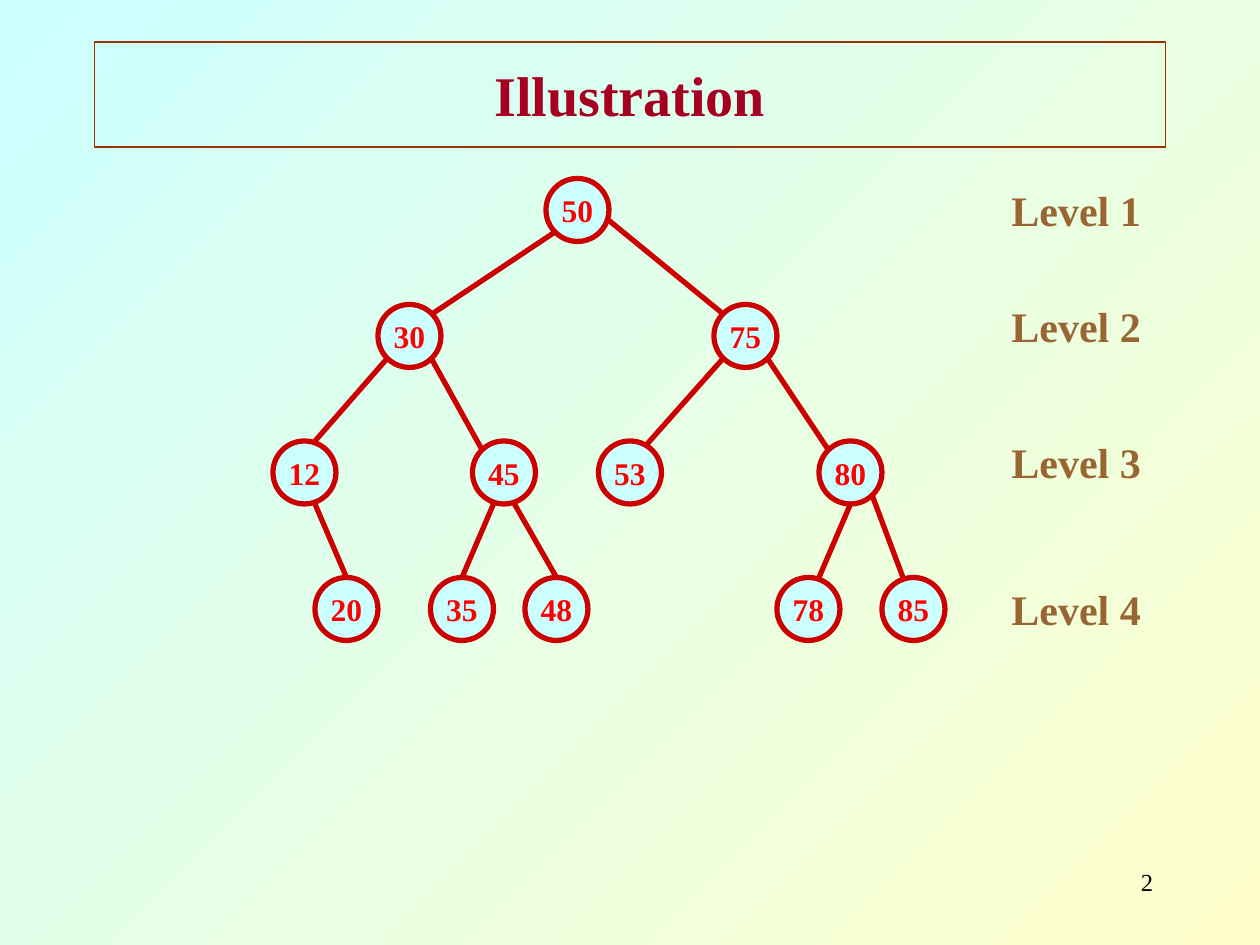
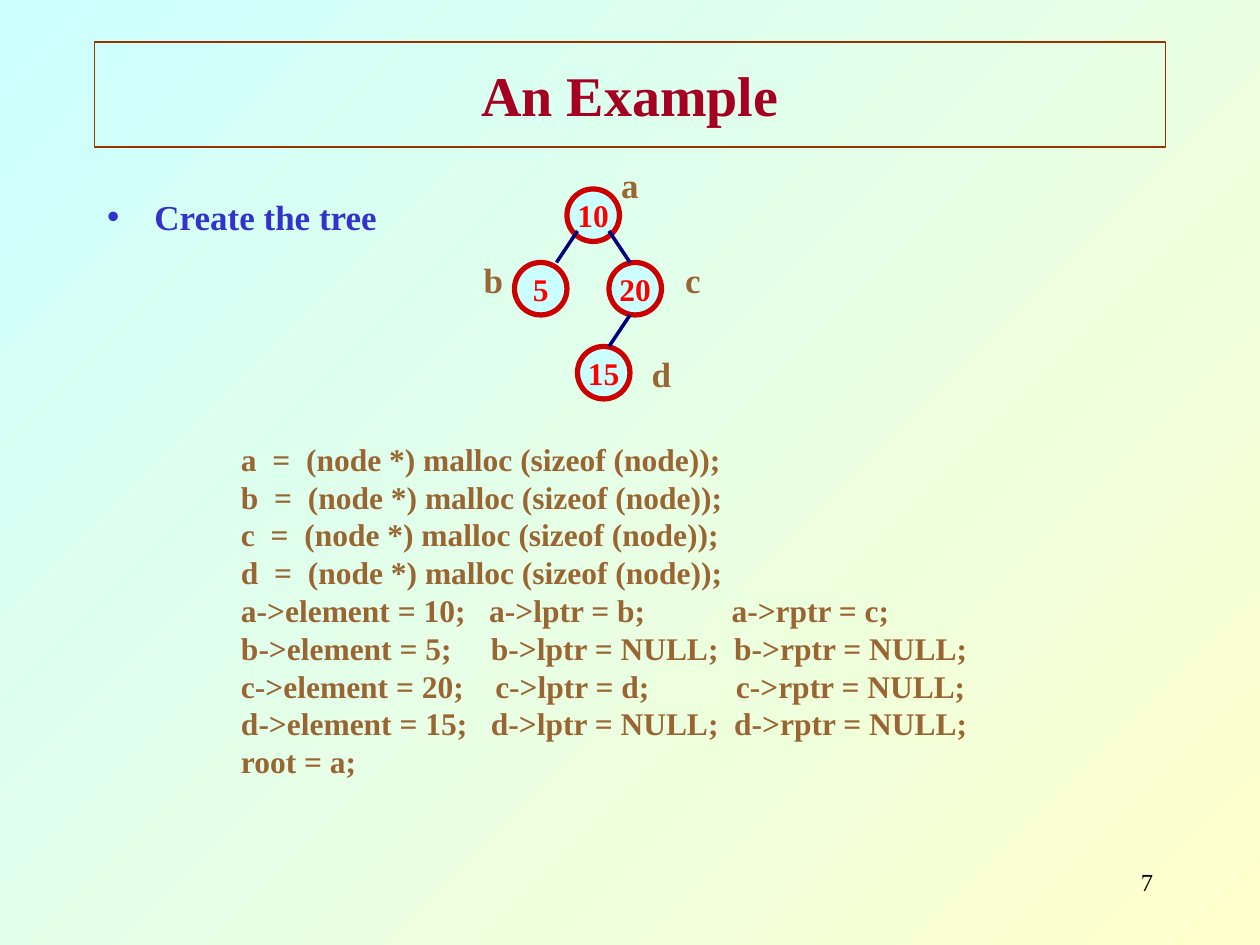
import dataclasses

import lxml.etree
import pptx
import pptx.dml.color
import pptx.enum.shapes
import pptx.enum.text
import pptx.oxml.ns
import pptx.util

ALIGN = pptx.enum.text.PP_ALIGN
ANCHOR = pptx.enum.text.MSO_ANCHOR
AUTO_SIZE = pptx.enum.text.MSO_AUTO_SIZE


@dataclasses.dataclass(frozen=True)
class Theme:
    font: str = "Times New Roman"
    title: str = "A50021"
    title_line: str = "993300"
    heading: str = "3333CC"
    label: str = "996633"
    node_text: str = "FF0000"
    node_fill: str = "CCFFFF"
    node_line: str = "CC0000"
    pointer: str = "000080"
    page_number: str = "000000"
    background: tuple = ("FFFFCC", "CCFFFF")
    title_size: int = 32
    level_size: int = 24
    body_size: int = 20
    node_size: int = 18
    code_size: int = 18
    page_size: int = 14


def grid(count):
    return pptx.util.Cm(count * 2.54 / 12)


def rgb(value):
    return pptx.dml.color.RGBColor.from_string(value)


def add_xml(parent, tag, **attributes):
    element = lxml.etree.SubElement(parent, pptx.oxml.ns.qn(tag))
    for name, value in attributes.items():
        element.set(name, str(value))
    return element


class SlideBuilder:
    def __init__(self, theme):
        self.theme = theme
        self.deck = pptx.Presentation()
        self.deck.slide_width = grid(120)
        self.deck.slide_height = grid(90)
        self.slide = None
        fill = self.deck.slide_master.background.fill
        fill.gradient()
        fill.gradient_angle = 135
        for stop, color in zip(fill.gradient_stops, theme.background):
            stop.color.rgb = rgb(color)

    def place(self, shape, left, top, width, height):
        shape.left, shape.top = grid(left), grid(top)
        shape.width, shape.height = grid(width), grid(height)

    def format_para(self, para, size, color, align=ALIGN.CENTER, bold=True, before=0):
        para.alignment = align
        para.space_before = pptx.util.Pt(before)
        for span in para.runs:
            span.font.name = self.theme.font
            span.font.size = pptx.util.Pt(size)
            span.font.bold = bold
            span.font.color.rgb = rgb(color)

    def indent(self, para, left, first_line):
        properties = para._p.get_or_add_pPr()
        properties.set("marL", str(grid(left)))
        properties.set("indent", str(grid(first_line)))
        return properties

    def start(self, title, number, layout):
        self.slide = self.deck.slides.add_slide(self.deck.slide_layouts.get_by_name(layout))
        box = self.slide.shapes.title
        self.place(box, 9, 4, 102, 10)
        box.line.color.rgb = rgb(self.theme.title_line)
        box.line.width = pptx.util.Pt(0.75)
        frame = box.text_frame
        frame.text = title
        frame.auto_size = AUTO_SIZE.NONE
        frame.vertical_anchor = ANCHOR.MIDDLE
        self.format_para(frame.paragraphs[0], self.theme.title_size, self.theme.title)
        self.text(str(number), 86, 82, 25, 6, self.theme.page_size,
                  self.theme.page_number, align=ALIGN.RIGHT, bold=False)

    def text(self, words, left, top, width, height, size, color, **style):
        box = self.slide.shapes.add_textbox(grid(left), grid(top), grid(width), grid(height))
        frame = box.text_frame
        frame.word_wrap = True
        frame.text = words
        self.format_para(frame.paragraphs[0], size, color, **style)

    def label(self, words, left, top, width, height, size):
        self.text(words, left, top, width, height, size, self.theme.label, before=size * 0.625)

    def node(self, value, left, top, diameter):
        circle = self.slide.shapes.add_shape(
            pptx.enum.shapes.MSO_SHAPE.OVAL,
            grid(left), grid(top), grid(diameter), grid(diameter))
        circle.shadow.inherit = False
        circle.fill.solid()
        circle.fill.fore_color.rgb = rgb(self.theme.node_fill)
        circle.line.color.rgb = rgb(self.theme.node_line)
        circle.line.width = pptx.util.Pt(3)
        frame = circle.text_frame
        frame.text = str(value)
        frame.word_wrap = False
        frame.vertical_anchor = ANCHOR.MIDDLE
        self.format_para(frame.paragraphs[0], self.theme.node_size, self.theme.node_text)

    def edge(self, points, color, width):
        line = self.slide.shapes.add_connector(
            pptx.enum.shapes.MSO_CONNECTOR.STRAIGHT, *map(grid, points))
        line.line.color.rgb = rgb(color)
        line.line.width = pptx.util.Pt(width)
        add_xml(line._element.spPr, "a:effectLst")

    def body(self, heading, code, code_gap):
        box = self.slide.placeholders[1]
        self.place(box, 9, 18, 102, 62)
        frame = box.text_frame
        frame.text = heading
        frame.auto_size = AUTO_SIZE.NONE
        first = frame.paragraphs[0]
        self.format_para(first, self.theme.body_size, self.theme.heading,
                         align=ALIGN.LEFT, before=5)
        properties = self.indent(first, 4.5, -4.5)
        add_xml(add_xml(properties, "a:buClr"), "a:srgbClr", val=self.theme.heading)
        add_xml(properties, "a:buChar", char="•")
        for index, words in enumerate(code):
            para = frame.add_paragraph()
            para.text = words
            para.level = 2
            self.format_para(para, self.theme.code_size, self.theme.label,
                             align=ALIGN.LEFT, before=0 if index else code_gap)
            add_xml(self.indent(para, 12.75, 0), "a:buNone")


def build_illustration(page):
    theme = page.theme
    page.start("Illustration", 2, "Title Only")
    page.edge((69, 34, 61, 43), theme.node_line, 3)
    levels = {
        17: {50: 52},
        29: {30: 36, 75: 68},
        42: {12: 26, 45: 45, 53: 57, 80: 78},
        55: {20: 30, 35: 41, 48: 50, 78: 74, 85: 84},
    }
    for top, nodes in levels.items():
        for value, left in nodes.items():
            page.node(value, left, top, 6)
    for points in (
        (53, 22, 41, 30), (58, 21, 69, 30),
        (37, 34, 30, 42), (41, 34, 46, 43), (73, 34, 79, 43),
        (30, 48, 33, 55), (47, 48, 44, 55), (49, 48, 53, 55),
        (81, 48, 78, 55), (83, 47, 86, 55),
    ):
        page.edge(points, theme.node_line, 3)
    for number, top in enumerate((17, 28, 41, 55), 1):
        page.label(f"Level {number}", 93, top, 19, 6, theme.level_size)


def build_example(page):
    theme = page.theme
    page.start("An Example", 7, "Title and Content")
    code = [f"{name}  =  (node *) malloc (sizeof (node));" for name in "abcd"]
    code += [
        "a->element = 10;   a->lptr = b;           a->rptr = c;",
        "b->element = 5;     b->lptr = NULL;  b->rptr = NULL;",
        "c->element = 20;    c->lptr = d;           c->rptr = NULL;",
        "d->element = 15;   d->lptr = NULL;  d->rptr = NULL;",
        "root = a;",
    ]
    page.body("Create the tree", code, 115.7)
    for value, left, top in ((10, 54, 18), (5, 49, 25), (20, 58, 25), (15, 55, 33)):
        page.node(value, left, top, 5)
    for points in ((55, 22, 53, 25), (58, 22, 60, 25), (60, 30, 58, 33)):
        page.edge(points, theme.pointer, 2)
    for name, left, top in (("d", 60, 33), ("c", 63, 24), ("b", 44, 24), ("a", 57, 15)):
        page.label(name, left, top, 6, 5.25, theme.body_size)


def main():
    page = SlideBuilder(Theme())
    build_illustration(page)
    build_example(page)
    page.deck.save("out.pptx")


if __name__ == "__main__":
    main()
